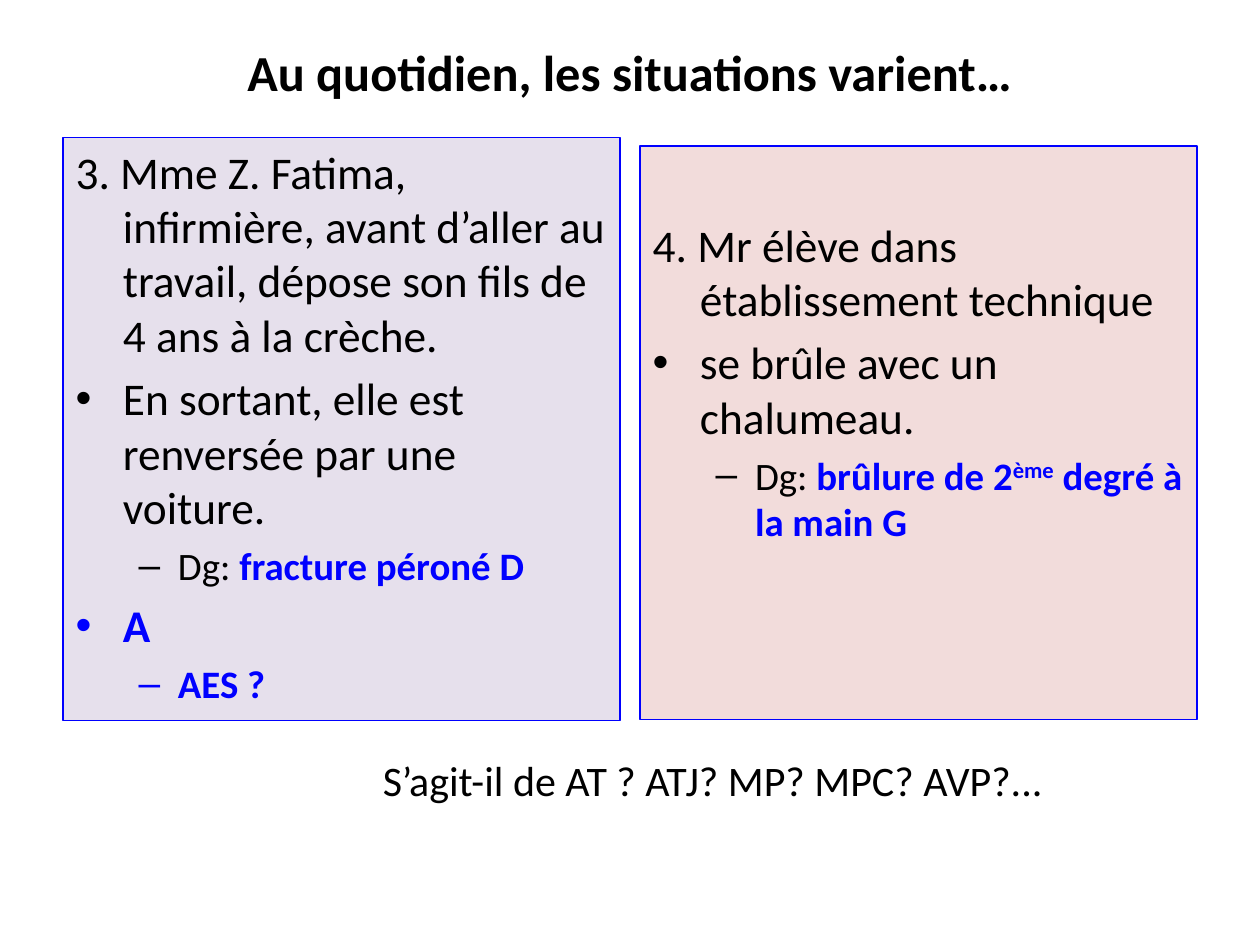
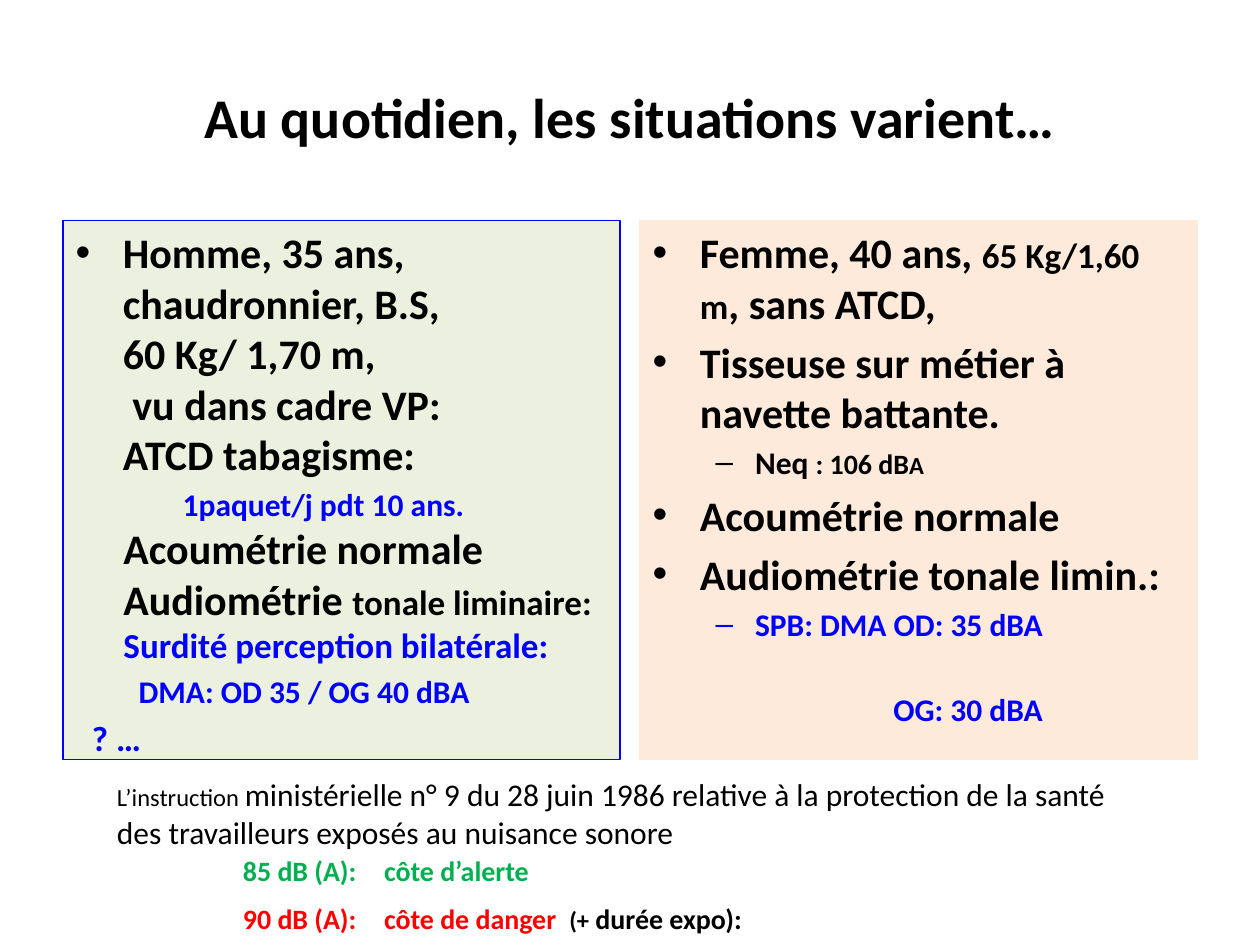
"""Two slides of occupational health cases, each with two coloured panels and a note."""
from lxml import etree
from pptx import Presentation
from pptx.dml.color import RGBColor
from pptx.enum.text import MSO_ANCHOR, MSO_AUTO_SIZE
from pptx.oxml.ns import qn
from pptx.util import Inches, Pt

BLACK = RGBColor(0x00, 0x00, 0x00)
BLUE = RGBColor(0x00, 0x00, 0xFF)
GREEN = RGBColor(0x00, 0xB0, 0x50)
RED = RGBColor(0xFF, 0x00, 0x00)
LILAC = RGBColor(0xE6, 0xE0, 0xEC)
ROSE = RGBColor(0xF2, 0xDC, 0xDB)
LIME = RGBColor(0xEB, 0xF1, 0xDE)
PEACH = RGBColor(0xFD, 0xEA, 0xDA)
FIXED = MSO_AUTO_SIZE.NONE
TOP, MIDDLE = MSO_ANCHOR.TOP, MSO_ANCHOR.MIDDLE

FONT = "Calibri"
TITLE = "Au quotidien, les situations varient…"
WIDTH, HEIGHT = 10, 7.5
MARGIN = WIDTH * 0.05
COLUMN = WIDTH * 0.442
COLUMN_LEFTS = (MARGIN, WIDTH - MARGIN - COLUMN)
NOTE_TABS = (1, 2.12, 3.59)
HANGING = "hanging"


def style(font, size=None, color=None, bold=None):
    """Set only the font features that are given."""
    if size:
        font.size = Pt(size)
    if color is not None:
        font.color.rgb = color
    if bold is not None:
        font.bold = bold


def write(frame, paragraphs):
    """Fill a frame from (look, spans) pairs; a span is text or (text, look)."""
    for number, (look, spans) in enumerate(paragraphs):
        para = frame.paragraphs[0] if number == 0 else frame.add_paragraph()
        para.level = look.get("level", 0)
        properties = para._p.get_or_add_pPr()
        indent = look.get("indent")
        if indent is not None:
            etree.SubElement(properties, qn("a:buNone"))
            if indent != HANGING:
                properties.set("marL", str(Inches(indent)))
                properties.set("indent", "0")
        if "tabs" in look:
            tab_list = etree.SubElement(properties, qn("a:tabLst"))
            for stop in look["tabs"]:
                etree.SubElement(tab_list, qn("a:tab"), pos=str(Inches(stop)), algn="l")
        para.font.name = FONT
        style(para.font, look["size"], look.get("color", BLACK), look.get("bold", False))
        before = 0 if number == 0 else look.get("before")
        if before is not None:
            para.space_before = Pt(before)
        for span in spans:
            text, change = (span, {}) if isinstance(span, str) else span
            for row, line in enumerate(text.split("\n")):
                if row:
                    para.add_line_break()
                if line:
                    run = para.add_run()
                    run.text = line
                    style(run.font, change.get("size"), change.get("color"), change.get("bold"))
                    if "raise" in change:
                        run.font._element.set("baseline", str(change["raise"] * 1000))


case = {"size": 25.9}
case_number = {"size": 25.9, "indent": HANGING}
diagnosis = {"size": 22.2, "level": 1}
finding = {"color": BLUE, "bold": True}
point = {"size": 24, "bold": True}
detail = {"size": 18, "level": 1, "bold": True}
answer = {"size": 18, "color": BLUE, "bold": True}
limit = {"size": 16, "bold": True, "tabs": NOTE_TABS}

nurse = [
    (case_number, ["3. Mme Z. Fatima, infirmière, avant d’aller au travail, "
                   "dépose son fils de 4 ans à la crèche."]),
    (case, ["En sortant, elle est renversée par une voiture."]),
    (diagnosis, ["Dg: ", ("fracture péroné D", finding)]),
    (case | finding, ["A"]),
    (diagnosis | finding, ["AES ?"]),
]
pupil = [
    (case_number, ["4. Mr élève dans établissement technique"]),
    (case, ["se brûle avec un chalumeau."]),
    (diagnosis, ["Dg: ", ("brûlure de 2", finding), ("ème", finding | {"raise": 30}),
                 (" degré à la main G", finding)]),
]
boilermaker = [
    (point, ["Homme, 35 ans, chaudronnier, B.S,\n60 Kg/ 1,70 m,\n vu dans cadre VP:\n"
             "ATCD tabagisme:"]),
    (answer | {"indent": 0.85}, ["1paquet/j pdt 10 ans."]),
    (point | {"indent": 0.38, "before": 0},
     ["Acoumétrie normale\nAudiométrie ", ("tonale liminaire:\n", {"size": 20}),
      ("Surdité perception bilatérale:", {"size": 20, "color": BLUE})]),
    (answer | {"indent": 0.5}, ["DMA: OD 35 / OG 40 dBA"]),
    (answer | {"indent": 0.13, "size": 20}, ["? …"]),
]
weaver = [
    (point, ["Femme, 40 ans, ", ("65 Kg/1,60 m", {"size": 20}), ", sans ATCD,"]),
    (point, ["Tisseuse sur métier à navette battante."]),
    (detail, ["Neq ", (": 106 dB", {"size": 16}), ("A", {"size": 14})]),
    (point, ["Acoumétrie normale"]),
    (point, ["Audiométrie tonale limin.:"]),
    (detail | finding, ["SPB: DMA OD: 35 dBA"]),
    (answer | {"indent": 1.91, "before": 27}, ["OG: 30 dBA"]),
]
question = [({"size": 24}, ["S’agit-il de AT ? ATJ? MP? MPC? AVP?..."])]
instruction = [
    ({"size": 18}, [("L’instruction ", {"size": 14}),
                    "ministérielle n° 9 du 28 juin 1986 relative à la protection de la santé "
                    "des travailleurs exposés au nuisance sonore"]),
    (limit | {"color": GREEN, "before": 2}, ["\t85 dB (A):\tcôte d’alerte"]),
    (limit | {"color": RED, "before": 8},
     ["\t90 dB (A):\tcôte de danger\t", ("(+", {"size": 14, "color": BLACK}),
      (" durée expo):", {"color": BLACK})]),
]

# title size, title height, panels (top, height, fill, line, top inset, text), note box, wrap, text
pages = [
    (28.8, 0.54,
     [(1.09, 4.63, LILAC, BLUE, 0.05, nurse), (1.16, 4.55, ROSE, BLUE, 0.56, pupil)],
     (2.94, 5.94, 5.64, 0.5), False, question),
    (32, 1.25,
     [(1.75, 4.28, LIME, BLUE, 0.05, boilermaker), (1.75, 4.28, PEACH, PEACH, 0.05, weaver)],
     (0.83, 6.1, 8.43, 1.41), True, instruction),
]

deck = Presentation()
deck.slide_width, deck.slide_height = Inches(WIDTH), Inches(HEIGHT)
two_columns = deck.slide_layouts.get_by_name("Two Content")

for title_size, title_height, panels, note_place, note_wraps, note_text in pages:
    page = deck.slides.add_slide(two_columns)
    title, *bodies = page.placeholders
    title.left, title.top = Inches(MARGIN), Inches(HEIGHT * 0.04)
    title.width, title.height = Inches(WIDTH - 2 * MARGIN), Inches(title_height)
    title.text_frame.auto_size = FIXED
    title.text_frame.vertical_anchor = MIDDLE
    write(title.text_frame, [({"size": title_size, "bold": True}, [TITLE])])

    for body, left, panel in zip(bodies, COLUMN_LEFTS, panels):
        top, height, fill, line, inset, text = panel
        body.left, body.top = Inches(left), Inches(top)
        body.width, body.height = Inches(COLUMN), Inches(height)
        body.fill.solid()
        body.fill.fore_color.rgb = fill
        body.line.color.rgb = line
        body.line.width = Pt(0.75)
        body.text_frame.auto_size = FIXED
        body.text_frame.vertical_anchor = TOP
        body.text_frame.margin_top = Inches(inset)
        write(body.text_frame, text)

    note = page.shapes.add_textbox(*(Inches(length) for length in note_place))
    note.text_frame.word_wrap = note_wraps
    write(note.text_frame, note_text)

deck.save("out.pptx")
